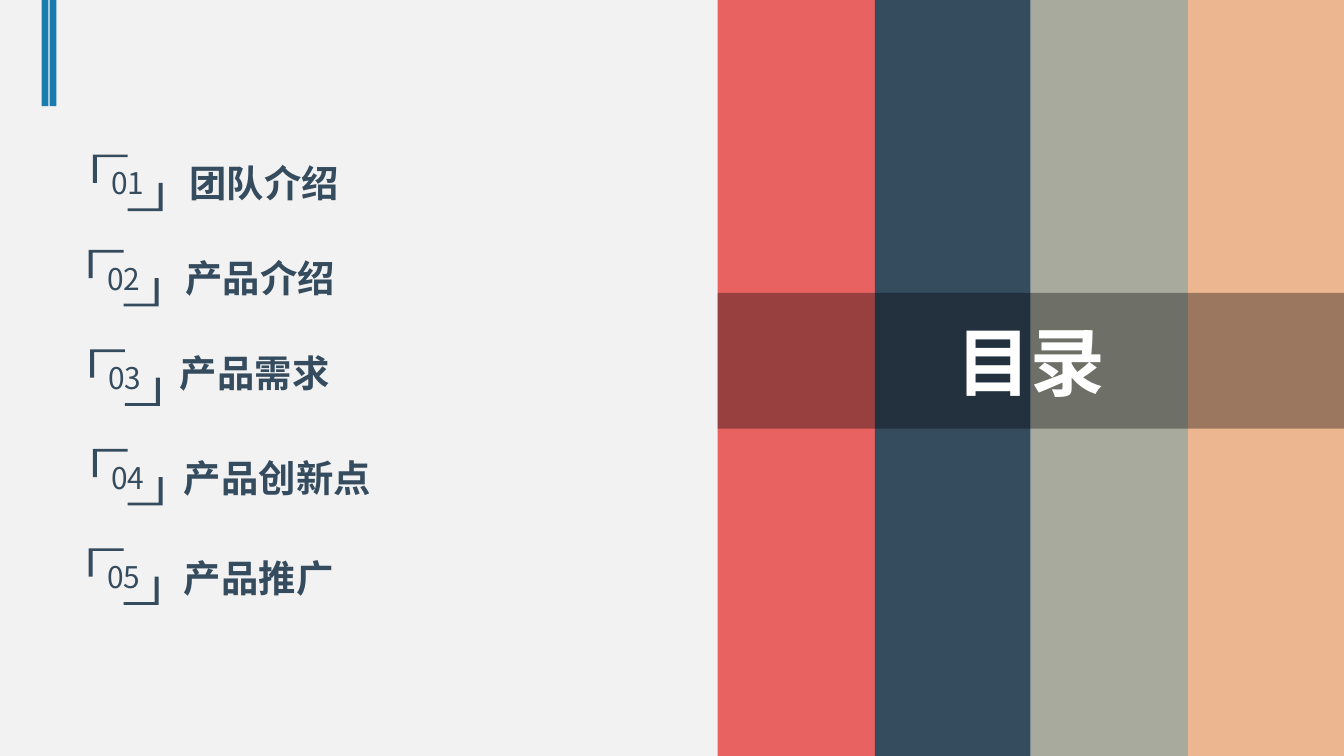
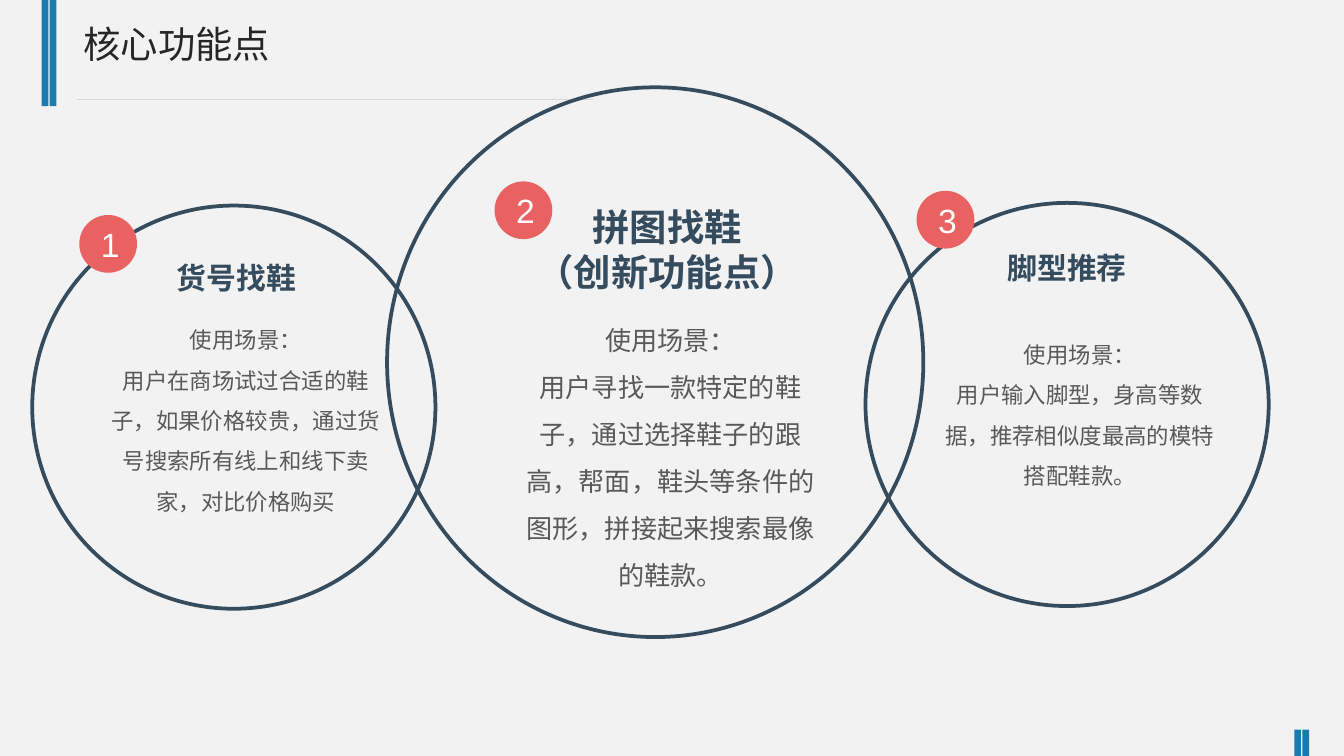
from lxml.etree import SubElement as Sub
from pptx import Presentation
from pptx.dml.color import RGBColor as Rgb
from pptx.enum.lang import MSO_LANGUAGE_ID as Lang
from pptx.enum.shapes import MSO_CONNECTOR as Wire, MSO_SHAPE as Form
from pptx.enum.text import MSO_ANCHOR as Anchor, MSO_AUTO_SIZE as Fit, PP_ALIGN as Align
from pptx.oxml.ns import qn
from pptx.util import Pt

PX = 9144
WIDE, HIGH = 1000, 563
HUES = {"paper": "F2F2F2", "blue": "1A7BAE", "navy": "354B5E", "red": "E86262",
        "sage": "A7AA9D", "peach": "EBB690", "black": "000000", "white": "FFFFFF",
        "ink": "262626", "gray": "595959", "rule": "D8D8D8"}
SANS, PLAIN = "Noto Sans CJK SC", "Arial"
LOOKS = {
    "title": {"size": Pt(20), "name": "Arial Narrow", "bold": False, "hue": "ink"},
    "cover": {"size": Pt(40), "name": SANS, "bold": True, "hue": "white"},
    "item": {"size": Pt(20), "name": SANS, "bold": True, "hue": "navy"},
    "mark": {"size": Pt(16), "name": SANS, "hue": "navy"},
    "badge": {"size": Pt(18), "name": PLAIN, "hue": "white"},
    "head": {"size": Pt(16), "name": PLAIN, "bold": True, "hue": "navy"},
    "big head": {"size": Pt(20), "name": PLAIN, "bold": True, "hue": "navy"},
    "body": {"size": Pt(12), "name": SANS, "hue": "gray"},
    "big body": {"size": Pt(14), "name": SANS, "hue": "gray"},
}
ITEMS = [
    ("团队介绍", (3, 1), (65, 0)),
    ("产品介绍", (0, 72), (62, 71)),
    ("产品需求", (1, 146), (58, 142)),
    ("产品创新点", (3, 220), (61, 220)),
    ("产品推广", (0, 294), (61, 294)),
]
RINGS = [
    {"box": (288, 65, 399, 409), "badge": (80, 70), "size": "big ",
     "head": (101, 82, 215, 77), "body": (93, 160, 236, 220),
     "name": ["拼图找鞋", "（创新功能点）"],
     "text": "用户寻找一款特定的鞋子，通过选择鞋子的跟高，帮面，鞋头等条件的图形，拼接起来搜索最像的鞋款。"},
    {"box": (24, 153, 300, 300), "badge": (35, 7), "size": "",
     "head": (98, 35, 108, 37), "body": (41, 75, 236, 160),
     "name": ["货号找鞋"],
     "text": "用户在商场试过合适的鞋子，如果价格较贵，通过货号搜索所有线上和线下卖家，对比价格购买"},
    {"box": (644, 151, 300, 300), "badge": (38, -9), "size": "",
     "head": (96, 30, 108, 37), "body": (43, 88, 233, 160),
     "name": ["脚型推荐"],
     "text": "用户输入脚型，身高等数据，推荐相似度最高的模特搭配鞋款。"},
]


def emu(*nums):
    """Turn px lengths into EMU."""
    return [num * PX for num in nums]


def tint(fill, hue):
    """Fill with a named solid colour."""
    fill.solid()
    fill.fore_color.rgb = Rgb.from_string(HUES[hue])


def style(run, look):
    """Give a run its font, colour and language."""
    font = run.font
    for key, val in LOOKS[look].items():
        if key != "hue":
            setattr(font, key, val)
    font.language_id = Lang.SIMPLIFIED_CHINESE
    tint(font.fill, LOOKS[look]["hue"])
    Sub(run._r.rPr, qn("a:ea"), typeface=PLAIN)


def write(shape, lines, look, align=Align.CENTER, anchor=Anchor.MIDDLE, wrap=True, gap=None):
    """Put formatted paragraphs into a shape."""
    frame = shape.text_frame
    frame.text = "\n".join(lines)
    sides = {f"margin_{side}": size * PX for side, size in
             {"left": 10, "right": 10, "top": 5, "bottom": 5}.items()}
    for key, val in {"word_wrap": wrap, "auto_size": Fit.NONE,
                     "vertical_anchor": anchor, **sides}.items():
        setattr(frame, key, val)
    for para in frame.paragraphs:
        para.alignment = align
        para._p.get_or_add_pPr().set("hangingPunct", "0")
        if gap:
            para.line_spacing = gap
        for run in para.runs:
            style(run, look)


def draw(shapes, form, box, hue=None, edge=None):
    """Add a flat preset shape with a fill or an edge."""
    shape = shapes.add_shape(form, *emu(*box))
    shape.shadow.inherit = False
    if hue:
        tint(shape.fill, hue)
    else:
        shape.fill.background()
    if edge:
        tint(shape.line.fill, edge)
        shape.line.width = Pt(2)
    else:
        shape.line.fill.background()
    return shape


def label(slide, box, lines, look, **opts):
    """Add a top-anchored text box."""
    write(slide.shapes.add_textbox(*emu(*box)), lines, look, anchor=Anchor.TOP, **opts)


def bars(slide, left, top, high):
    """Add a pair of upright accent bars."""
    pair = slide.shapes.add_group_shape().shapes
    for step in (0, 6):
        draw(pair, Form.RECTANGLE, (left + step, top, 5, high), "blue")


def start(deck):
    """Add a title-only slide with paper and accent bars."""
    slide = deck.slides.add_slide(deck.slide_layouts[5])
    tint(slide.background.fill, "paper")
    bars(slide, 31, 0, 79)
    bars(slide, 963, 543, 20)
    return slide


def seat(slide, box, text, look, **opts):
    """Move and format the title placeholder."""
    title = slide.shapes.title
    for key, val in zip(("left", "top", "width", "height"), emu(*box)):
        setattr(title, key, val)
    write(title, [text], look, **opts)
    return title


def mark(slide, left, top, text):
    """Add a number between two facing corner brackets."""
    wide, high = 52, 42
    corner = [(0, 0), (26, 0), (26, 2), (3, 2), (3, 21), (0, 21)]
    facing = [(wide - x, high - y) for x, y in corner]
    pen = slide.shapes.build_freeform(*corner[0], scale=PX)
    pen.add_line_segments(corner[1:])
    pen.move_to(*facing[0])
    pen.add_line_segments(facing[1:])
    shape = pen.convert_to_shape(*emu(left, top))
    shape.shadow.inherit = False
    tint(shape.fill, "navy")
    shape.line.fill.background()
    write(shape, [text], "mark")


def agenda(slide, left, top):
    """Add the numbered list of sections."""
    for num, (text, (mx, my), (tx, ty)) in enumerate(ITEMS, 1):
        mark(slide, left + mx, top + my, f"{num:02}")
        label(slide, (left + tx, top + ty, 392, 44), [text], "item", align=Align.LEFT)


def panel(slide, left, top, wide, high):
    """Add the colour stripes with the title band across them."""
    hues = ("red", "navy", "sage", "peach")
    edges = [left + (num * wide + 2) // len(hues) for num in range(len(hues) + 1)]
    for hue, near, far in zip(hues, edges, edges[1:]):
        draw(slide.shapes, Form.RECTANGLE, (near, top, far - near, high), hue)
    band = seat(slide, (left, top + 218, wide, 101), "目录", "cover")
    tint(band.fill, "black")
    shade = band.element.spPr.find(qn("a:solidFill"))[0]
    Sub(shade, qn("a:alpha"), val="34000")
    band.element.getparent().append(band.element)


def ring(slide, left, top, wide, high, part):
    """Add one feature circle with its heading and scene."""
    def place(box):
        return left + box[0], top + box[1], *box[2:]

    draw(slide.shapes, Form.OVAL, (left, top, wide, high), edge="navy")
    label(slide, place(part["body"]), ["使用场景：", part["text"]],
          part["size"] + "body", gap=1.5)
    label(slide, place(part["head"]), part["name"], part["size"] + "head", wrap=False)


def badge(slide, left, top, text):
    """Add a round number badge."""
    write(draw(slide.shapes, Form.OVAL, (left, top, 43, 43), "red"), [text], "badge")


def rule(slide, *ends):
    """Add the thin line under the title."""
    line = slide.shapes.add_connector(Wire.STRAIGHT, *emu(*ends))
    tint(line.line.fill, "rule")
    line.line.width = Pt(0.75)
    Sub(line.element.spPr, qn("a:effectLst"))


def contents(deck):
    """Build the contents slide."""
    slide = start(deck)
    agenda(slide, 66, 114)
    panel(slide, 534, 0, WIDE - 534, HIGH)


def features(deck):
    """Build the core features slide."""
    slide = start(deck)
    seat(slide, (52, 11, 423, 44), "核心功能点", "title", align=Align.LEFT, anchor=Anchor.TOP)
    rule(slide, 57, 74, 441, 74)
    for part in RINGS:
        ring(slide, *part["box"], part)
    order = sorted(RINGS, key=lambda part: part["box"][0])
    for num, part in enumerate(order, 1):
        (left, top), (dx, dy) = part["box"][:2], part["badge"]
        badge(slide, left + dx, top + dy, str(num))


def main():
    """Build and save the deck."""
    deck = Presentation()
    deck.slide_width = WIDE * PX
    deck.slide_height = deck.slide_width * 9 // 16
    contents(deck)
    features(deck)
    deck.save("out.pptx")


if __name__ == "__main__":
    main()
